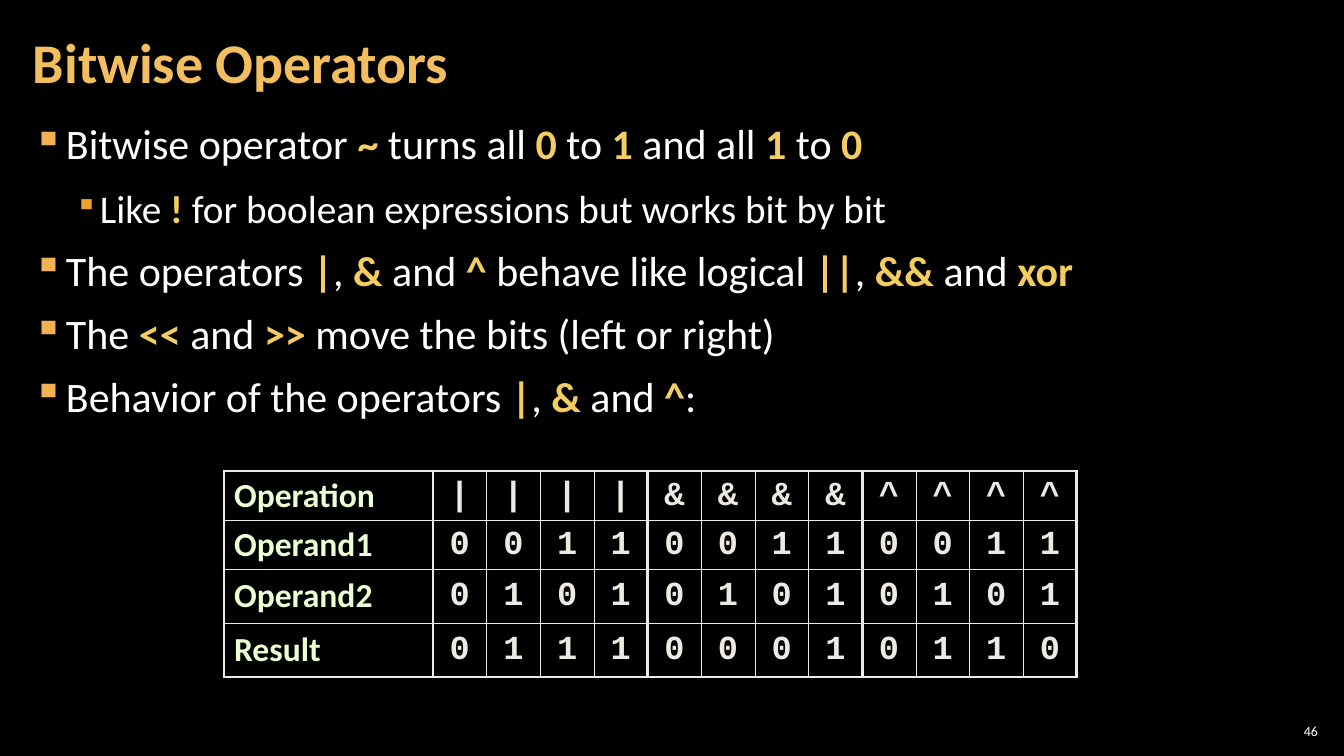
from dataclasses import dataclass

from lxml import etree
from pptx import Presentation
from pptx.dml.color import RGBColor
from pptx.enum.text import MSO_ANCHOR, PP_ALIGN
from pptx.oxml.ns import qn
from pptx.util import Emu, Pt

LEFT, CENTER, RIGHT = PP_ALIGN.LEFT, PP_ALIGN.CENTER, PP_ALIGN.RIGHT
TOP, MIDDLE = MSO_ANCHOR.TOP, MSO_ANCHOR.MIDDLE

BLACK = RGBColor(0x00, 0x00, 0x00)
WHITE = RGBColor(0xFF, 0xFF, 0xFF)
GOLD = RGBColor(0xF3, 0xBE, 0x60)
YELLOW = RGBColor(0xF3, 0xCD, 0x60)
ORANGE = RGBColor(0xF2, 0xB2, 0x54)
DEEP_ORANGE = RGBColor(0xF0, 0xA2, 0x2E)
PALE_GREEN = RGBColor(0xEB, 0xFF, 0xD2)
IVORY = RGBColor(0xEC, 0xEA, 0xE3)

BODY_FONT = "Calibri"
CODE_FONT = "Courier New"
PX_PER_INCH = 100.8
GROUP_SIZE = 4
THICK, THIN = Pt(2.25), Pt(0.25)


def px(length: int) -> Emu:
    return Emu(round(length * 914400 / PX_PER_INCH))


@dataclass(frozen=True)
class Box:
    left: int
    top: int
    width: int
    height: int


@dataclass(frozen=True)
class BulletLevel:
    size: int
    margin: int
    hanging: int
    color: RGBColor
    scale: int


@dataclass(frozen=True)
class Point:
    level: int
    text: str


@dataclass(frozen=True)
class TruthRow:
    label: str
    values: str
    height: int


LEVELS = (
    BulletLevel(30, 33, 33, ORANGE, 100),
    BulletLevel(28, 67, 25, DEEP_ORANGE, 80),
)
POINTS = (
    Point(0, "Bitwise operator `~ `turns all `0` to `1` and all `1` to `0`"),
    Point(1, "Like `! `for boolean expressions but works bit by bit"),
    Point(0, "The operators `|`, `&` and `^` behave like logical `||`, `&&` and `xor`"),
    Point(0, "The `<<` and `>>` move the bits (left or right)"),
    Point(0, "Behavior of the operators `|`, `&` and `^`:"),
)
TRUTH_ROWS = (
    TruthRow("Operation", "||||&&&&^^^^", 49),
    TruthRow("Operand1", "0011" * 3, 49),
    TruthRow("Operand2", "0101" * 3, 54),
    TruthRow("Result", "011100010110", 54),
)
TABLE_BOX = Box(224, 471, 853, 206)
LABEL_WIDTH = 209


def write_text(paragraph, text: str, *, size: int, color: RGBColor,
               font: str = BODY_FONT, bold: bool = False,
               align=LEFT, spacing=None) -> None:
    paragraph.alignment = align
    if spacing is not None:
        paragraph.line_spacing = spacing
    for index, part in enumerate(text.split("`")):
        if part:
            emphasised = index % 2 == 1
            run = paragraph.add_run()
            run.text = part
            run.font.name = font
            run.font.size = Pt(size)
            run.font.bold = bold or emphasised
            run.font.color.rgb = YELLOW if emphasised else color


def add_frame(slide, box: Box, inset: int, anchor):
    frame = slide.shapes.add_textbox(
        px(box.left), px(box.top), px(box.width), px(box.height)).text_frame
    frame.word_wrap = True
    frame.vertical_anchor = anchor
    frame.margin_left = frame.margin_right = px(inset)
    frame.margin_top = frame.margin_bottom = px(4)
    return frame


def set_bullet(paragraph, level: BulletLevel) -> None:
    properties = paragraph._p.get_or_add_pPr()
    properties.set("marL", str(px(level.margin)))
    properties.set("indent", str(-px(level.hanging)))
    color = etree.SubElement(properties, qn("a:buClr"))
    etree.SubElement(color, qn("a:srgbClr"), val=str(level.color))
    etree.SubElement(properties, qn("a:buSzPct"), val=str(level.scale * 1000))
    etree.SubElement(properties, qn("a:buChar"), char="▪")


def add_points(slide) -> None:
    frame = add_frame(slide, Box(21, 114, 1301, 614), 12, TOP)
    for index, point in enumerate(POINTS):
        paragraph = frame.add_paragraph() if index else frame.paragraphs[0]
        level = LEVELS[point.level]
        write_text(paragraph, point.text, size=level.size, color=WHITE, spacing=Pt(36))
        paragraph.level = point.level
        paragraph.space_before = Pt(3)
        paragraph.space_after = Pt(6)
        set_bullet(paragraph, level)


def set_borders(cell, row: int, column: int) -> None:
    last_row = len(TRUTH_ROWS) - 1
    thick_sides = {
        "a:lnL": column == 0 or column % GROUP_SIZE == 1,
        "a:lnR": column % GROUP_SIZE == 0,
        "a:lnT": row == 0,
        "a:lnB": row == last_row,
    }
    properties = cell._tc.get_or_add_tcPr()
    for side, thick in thick_sides.items():
        line = etree.SubElement(properties, qn(side), w=str(THICK if thick else THIN))
        fill = etree.SubElement(line, qn("a:solidFill"))
        etree.SubElement(fill, qn("a:srgbClr"), val=str(IVORY))
    cell.fill.background()


def set_space_before(paragraph, percent: int) -> None:
    paragraph.space_before = Pt(0)
    before = paragraph._p.get_or_add_pPr().find(qn("a:spcBef"))
    before.remove(before[0])
    etree.SubElement(before, qn("a:spcPct"), val=str(percent * 1000))


def add_truth_table(slide) -> None:
    value_count = len(TRUTH_ROWS[0].values)
    table = slide.shapes.add_table(
        len(TRUTH_ROWS), value_count + 1, px(TABLE_BOX.left), px(TABLE_BOX.top),
        px(TABLE_BOX.width), px(TABLE_BOX.height)).table
    table.first_row = table.horz_banding = False
    value_width = Emu(px(TABLE_BOX.width - LABEL_WIDTH) // value_count)
    for index, column in enumerate(table.columns):
        column.width = value_width if index else px(LABEL_WIDTH)
    for row, truth_row in enumerate(TRUTH_ROWS):
        table.rows[row].height = px(truth_row.height)
        for column, text in enumerate((truth_row.label, *truth_row.values)):
            cell = table.cell(row, column)
            cell.vertical_anchor = MIDDLE
            if column:
                cell.margin_left = cell.margin_right = px(4)
                cell.margin_top = cell.margin_bottom = px(4)
            paragraph = cell.text_frame.paragraphs[0]
            write_text(paragraph, text, size=24, bold=True, spacing=0.95,
                       color=IVORY if column else PALE_GREEN,
                       font=CODE_FONT if column else BODY_FONT,
                       align=CENTER if column else LEFT)
            set_space_before(paragraph, 40)
            set_borders(cell, row, column)


def main() -> None:
    deck = Presentation()
    deck.slide_width, deck.slide_height = px(1344), px(756)
    slide = deck.slides.add_slide(deck.slide_layouts[6])
    slide.background.fill.solid()
    slide.background.fill.fore_color.rgb = BLACK

    page_number = add_frame(slide, Box(1275, 720, 47, 21), 4, MIDDLE)
    write_text(page_number.paragraphs[0], "46", size=10, color=WHITE, align=RIGHT)
    add_points(slide)
    title = add_frame(slide, Box(21, 4, 1055, 122), 12, MIDDLE)
    write_text(title.paragraphs[0], "Bitwise Operators", size=40, color=GOLD,
               bold=True, spacing=0.9)
    add_truth_table(slide)
    deck.save("out.pptx")


if __name__ == "__main__":
    main()
